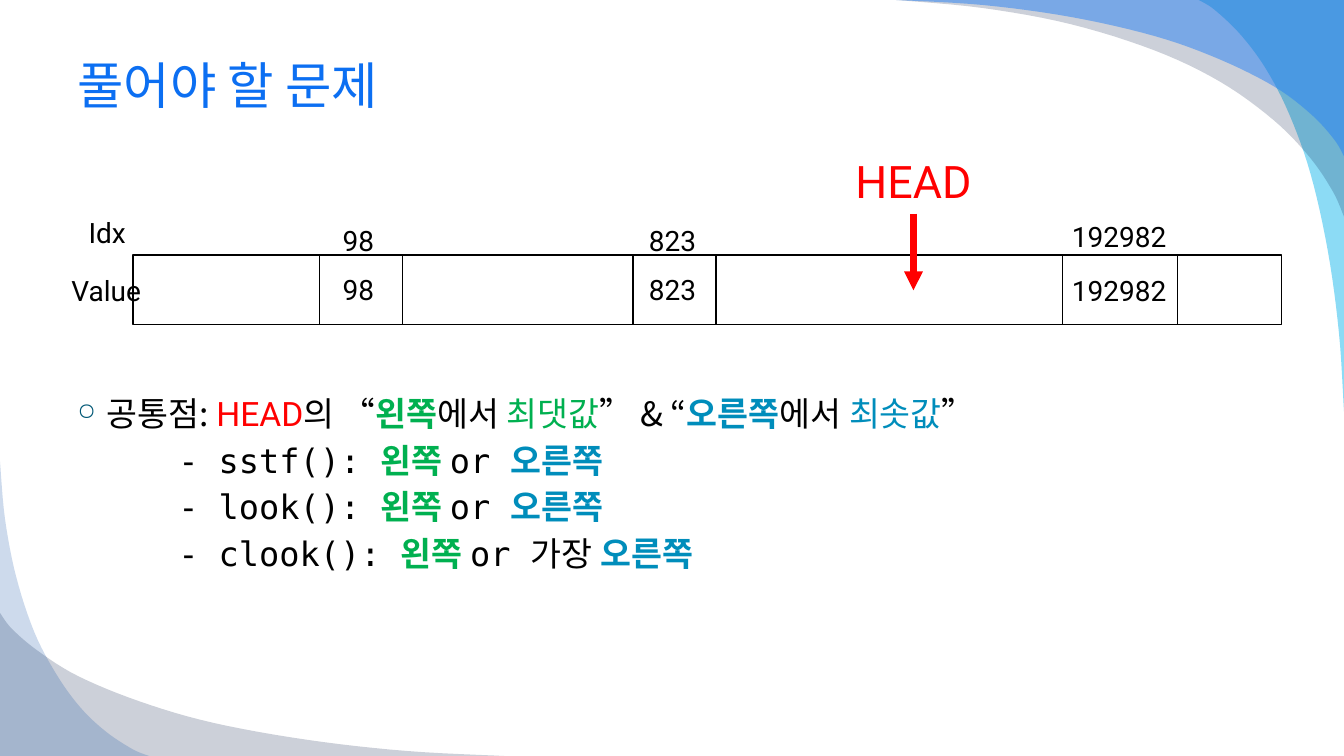
from lxml.etree import SubElement
from pptx import Presentation
from pptx.dml.color import RGBColor
from pptx.enum.shapes import MSO_CONNECTOR, MSO_SHAPE
from pptx.enum.text import MSO_ANCHOR, PP_ALIGN
from pptx.oxml.ns import qn
from pptx.util import Inches, Pt

CJK, SANS, MONO = "Noto Sans CJK KR", "Roboto", "DejaVu Sans Mono"
BLACK, WHITE, RED, GREEN, BLUE = "000000", "FFFFFF", "FF0000", "00B050", "008DBB"

# Each wave: colour, opacity in percent, corners, then knots of its curved edge
WAVES = [
    ("00B1E9", 45, [(13.33, 4.08), (13.33, 0)],
     [(11.89, 0), (12.05, 0.1), (12.31, 0.35), (12.56, 0.69), (12.79, 1.14),
      (13, 1.73), (13.17, 2.49), (13.28, 3.3), (13.33, 4.08)]),
    ("021741", 20, [(8.89, 0), (13.33, 0)],
     [(13.33, 2.15), (13.22, 1.9), (12.99, 1.56), (12.63, 1.19), (12.1, 0.81),
      (11.45, 0.5), (10.62, 0.24), (9.75, 0.08), (8.89, 0)]),
    ("247FF4", 49, [(8.89, 0), (13.33, 0)],
     [(13.33, 1.55), (13.23, 1.38), (13, 1.13), (12.64, 0.86), (12.1, 0.59),
      (11.46, 0.36), (10.63, 0.17), (9.75, 0.05), (8.89, 0)]),
    ("021741", 20, [(5, 7.5), (0, 7.5)],
     [(0, 6.08), (0.12, 6.24), (0.38, 6.46), (0.78, 6.71), (1.39, 6.96),
      (2.11, 7.17), (3.05, 7.34), (4.03, 7.45), (5, 7.5)]),
    ("084AA1", 20, [(0, 4.58), (0, 7.5)],
     [(1.48, 7.5), (1.31, 7.43), (1.04, 7.25), (0.79, 7.01), (0.56, 6.69),
      (0.34, 6.27), (0.16, 5.72), (0.05, 5.15), (0, 4.58)]),
]

BAR_LEFT, BAR_TOP, BAR_WIDTH, BAR_HEIGHT = 1.32, 2.53, 11.39, 0.69
DIVIDERS = [3.17, 3.99, 6.28, 7.1, 10.54, 11.68]

# text, left, width, index top, value top, alignment
CELLS = [
    ("98", 3.3, 0.54, 2.17, 2.65, PP_ALIGN.LEFT),
    ("823", 5.98, 1.38, 2.17, 2.65, PP_ALIGN.CENTER),
    ("192982", 10.06, 2.08, 2.13, 2.66, PP_ALIGN.CENTER),
]

COMMON_POINT = [
    ("공통점: ", CJK, BLACK, False), ("HEAD", SANS, RED, False),
    ("의 “", CJK, BLACK, False), ("왼쪽", CJK, GREEN, True),
    ("에서 ", CJK, BLACK, False), ("최댓값", CJK, GREEN, False),
    ("” & “", CJK, BLACK, False), ("오른쪽", CJK, BLUE, True),
    ("에서 ", CJK, BLACK, False), ("최솟값", CJK, BLUE, False),
    ("”", CJK, BLACK, False),
]
# function name, words between the two directions
FUNCTIONS = [("sstf", " or "), ("look", " or "), ("clook", " or 가장 ")]


def rgb(color):
    """Turn a hex string into a colour."""
    return RGBColor.from_string(color)


def smooth_curve(knots, steps=6):
    """Return points of a Catmull-Rom curve through the knots."""
    ext = [knots[0], *knots, knots[-1]]
    points = [knots[0]]
    for a, b, c, d in zip(ext, ext[1:], ext[2:], ext[3:]):
        for i in range(1, steps + 1):
            t = i / steps
            points.append(tuple(
                0.5 * (2 * q + (r - p) * t + (2 * p - 5 * q + 4 * r - s) * t ** 2
                       + (3 * q - p - 3 * r + s) * t ** 3)
                for p, q, r, s in zip(a, b, c, d)))
    return points


def add_wave(shapes, color, opacity, corners, knots):
    """Draw one translucent wave in a slide corner."""
    points = [(Inches(x), Inches(y)) for x, y in corners + smooth_curve(knots)]
    builder = shapes.build_freeform(*points[0])
    builder.add_line_segments(points[1:], close=True)
    sp = builder.convert_to_shape()
    sp.shadow.inherit = False
    sp.fill.solid()
    sp.fill.fore_color.rgb = rgb(color)
    sp.line.fill.background()
    clr = sp.fill._xPr.find(qn("a:solidFill"))[0]
    SubElement(clr, qn("a:alpha"), val=str(opacity * 1000))


def add_line(shapes, x1, y1, x2, y2, color=BLACK, width=1, arrow=False):
    """Draw a straight line, with an arrowhead at its end if asked."""
    line = shapes.add_connector(MSO_CONNECTOR.STRAIGHT, *map(Inches, (x1, y1, x2, y2)))
    line.line.color.rgb = rgb(color)
    line.line.width = Pt(width)
    if arrow:
        SubElement(line.line._get_or_add_ln(), qn("a:tailEnd"), type="triangle")
    SubElement(line._element.spPr, qn("a:effectLst"))


def add_run(p, text, font=SANS, color=BLACK, bold=False, size=20):
    """Append a formatted run to a paragraph."""
    r = p.add_run()
    r.text = text
    formats = {"name": font, "size": Pt(size), "bold": bold}
    for name, value in formats.items():
        setattr(r.font, name, value)
    r.font.color.rgb = rgb(color)
    SubElement(r.font._element, qn("a:ea"), typeface=CJK)


def add_box(shapes, left, top, width, height, anchor=MSO_ANCHOR.TOP):
    """Add an empty wrapping text box and return its text frame."""
    tf = shapes.add_textbox(*map(Inches, (left, top, width, height))).text_frame
    tf.word_wrap = True
    tf.vertical_anchor = anchor
    return tf


def add_label(shapes, text, left, top, width, align=PP_ALIGN.LEFT,
              height=0.44, **formats):
    """Add a one-line label."""
    p = add_box(shapes, left, top, width, height).paragraphs[0]
    p.alignment = align
    add_run(p, text, **formats)


def add_disk(shapes):
    """Draw the divided bar with its indices, values and head pointer."""
    bar = shapes.add_shape(MSO_SHAPE.RECTANGLE, *map(
        Inches, (BAR_LEFT, BAR_TOP, BAR_WIDTH, BAR_HEIGHT)))
    bar.shadow.inherit = False
    bar.fill.solid()
    bar.fill.fore_color.rgb = rgb(WHITE)
    bar.line.color.rgb = rgb(BLACK)
    bar.line.width = Pt(1)
    for x in DIVIDERS:
        add_line(shapes, x, BAR_TOP, x, BAR_TOP + BAR_HEIGHT)
    for text, left, width, index_top, value_top, align in CELLS:
        for top in (index_top, value_top):
            add_label(shapes, text, left, top, width, align)
    add_label(shapes, "Idx", 0.78, 2.09, 0.79)
    add_label(shapes, "Value", 0.61, 2.66, 0.95)
    add_label(shapes, "HEAD", 8.07, 1.48, 1.98, PP_ALIGN.CENTER,
              height=0.64, color=RED, size=32)
    add_line(shapes, 9.06, 2.12, 9.06, 2.88, RED, 4.5, arrow=True)


def add_bullet(p):
    """Give a paragraph a hanging ring bullet."""
    pPr = p._p.get_or_add_pPr()
    pPr.set("marL", str(Inches(0.29)))
    pPr.set("indent", str(-Inches(0.29)))
    SubElement(SubElement(pPr, qn("a:buClr")), qn("a:srgbClr"), val="005876")
    SubElement(pPr, qn("a:buSzPct"), val="70000")
    SubElement(pPr, qn("a:buChar"), char="○")


def add_summary(shapes):
    """Write the common point and one line for each function."""
    tf = add_box(shapes, 0.67, 3.78, 12, 2.92)
    lines = [COMMON_POINT] + [
        [(f"- {name}(): ", MONO, BLACK, False), ("왼쪽", CJK, GREEN, True),
         (between, MONO, BLACK, False), ("오른쪽", CJK, BLUE, True)]
        for name, between in FUNCTIONS]
    for i, runs in enumerate(lines):
        p = tf.add_paragraph() if i else tf.paragraphs[0]
        p.line_spacing = Pt(33.5)
        if i:
            p._p.get_or_add_pPr().set("marL", str(Inches(1)))
        else:
            add_bullet(p)
        for run in runs:
            add_run(p, *run, size=24)


def main():
    """Build the slide and save it."""
    prs = Presentation()
    prs.slide_width, prs.slide_height = Inches(13.33), Inches(7.5)
    s = prs.slides.add_slide(prs.slide_layouts[6])
    for wave in WAVES:
        add_wave(s.shapes, *wave)
    title = add_box(s.shapes, 0.67, 0.33, 12, 1.01, MSO_ANCHOR.MIDDLE)
    add_run(title.paragraphs[0], "풀어야 할 문제", CJK, "0C6FF2", size=36)
    add_summary(s.shapes)
    add_disk(s.shapes)
    prs.save("out.pptx")


main()
